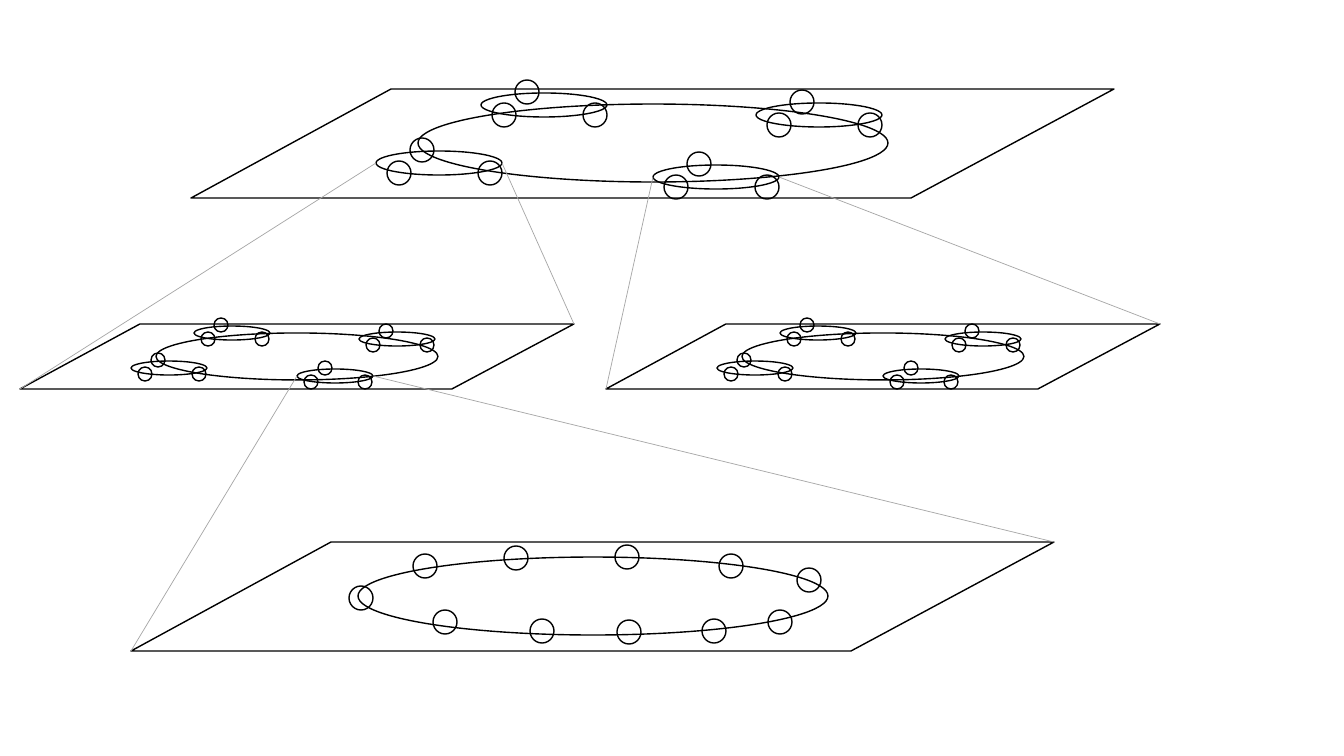
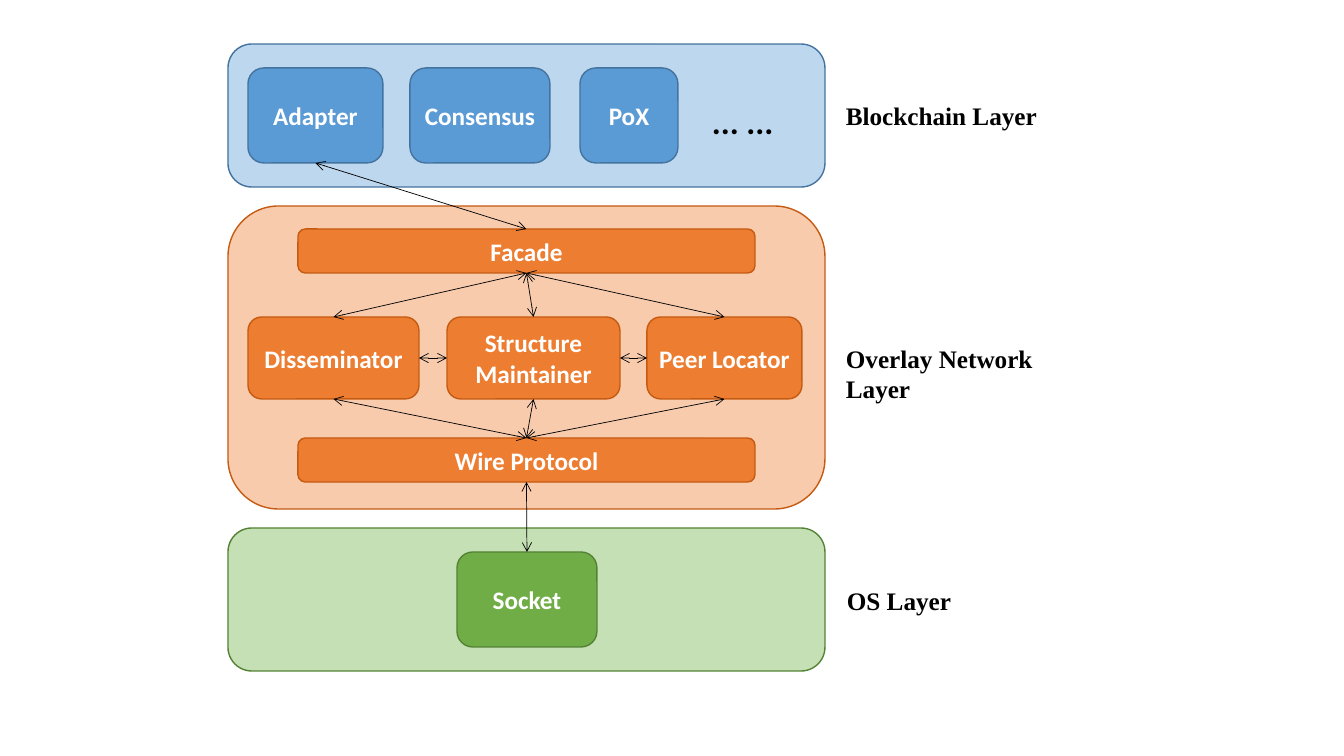
from dataclasses import dataclass

from lxml import etree
from pptx import Presentation
from pptx.dml.color import RGBColor
from pptx.enum.shapes import MSO_CONNECTOR, MSO_SHAPE
from pptx.enum.text import MSO_ANCHOR, PP_ALIGN
from pptx.oxml.ns import qn
from pptx.util import Emu, Pt

ELLIPSE = MSO_SHAPE.OVAL
ROUNDED = MSO_SHAPE.ROUNDED_RECTANGLE
STRAIGHT = MSO_CONNECTOR.STRAIGHT
CENTER, LEFT = PP_ALIGN.CENTER, PP_ALIGN.LEFT
MIDDLE, TOP = MSO_ANCHOR.MIDDLE, MSO_ANCHOR.TOP
SCALE = 914400 / 100.8
SITE_TOP, SITE_LEFT, SITE_BOTTOM, SITE_RIGHT = range(4)


@dataclass(frozen=True)
class Theme:
    """Colours, fonts and sizes shared by the slides."""
    ink: str = "000000"
    paper: str = "FFFFFF"
    guide: str = "A6A6A6"
    blue: tuple = ("BDD7EE", "5B9BD5", "43739E")
    orange: tuple = ("F8CBAD", "ED7D31", "C55A11")
    green: tuple = ("C5E0B4", "70AD47", "548235")
    box_font: str = "Calibri"
    label_font: str = "Times New Roman"
    text_size: int = 18
    dots_size: int = 24
    outline: float = 1
    hairline: float = 0.5


def px(length):
    """Turn pixels into EMU."""
    return Emu(round(length * SCALE))


class Deck:
    """Holds the theme and the current slide and draws each kind of element."""

    def __init__(self, theme):
        """Start an empty widescreen presentation."""
        self.theme = theme
        self.presentation = Presentation()
        self.presentation.slide_width = px(1344)
        self.presentation.slide_height = px(756)
        self.slide = None

    def new_slide(self):
        """Add a blank slide and make it current."""
        layout = self.presentation.slide_layouts[6]
        self.slide = self.presentation.slides.add_slide(layout)

    def style(self, shape, line, fill=None):
        """Set outline and fill and remove the shadow."""
        shape.shadow.inherit = False
        shape.line.color.rgb = RGBColor.from_string(line)
        shape.line.width = Pt(self.theme.outline)
        if fill:
            shape.fill.solid()
            shape.fill.fore_color.rgb = RGBColor.from_string(fill)
        else:
            shape.fill.background()

    def ellipse(self, left, top, width, height):
        """Draw an unfilled ellipse."""
        shape = self.slide.shapes.add_shape(
            ELLIPSE, px(left), px(top), px(width), px(height))
        self.style(shape, self.theme.ink)

    def outline(self, points):
        """Draw a closed unfilled outline through the points."""
        builder = self.slide.shapes.build_freeform(*points[0], scale=SCALE)
        builder.add_line_segments(points[1:], close=True)
        self.style(builder.convert_to_shape(), self.theme.ink)

    def box(self, left, top, width, height, fill, line, lines=()):
        """Draw a rounded box with centred text."""
        shape = self.slide.shapes.add_shape(
            ROUNDED, px(left), px(top), px(width), px(height))
        self.style(shape, line, fill)
        if lines:
            frame = shape.text_frame
            frame.margin_left = frame.margin_right = 0
            frame.margin_top = frame.margin_bottom = 0
            self.add_text(frame, lines, self.theme.box_font,
                          self.theme.text_size, self.theme.paper,
                          CENTER, MIDDLE)
        return shape

    def label(self, left, top, width, height, lines, font, size):
        """Add a bold left-aligned text box."""
        shape = self.slide.shapes.add_textbox(
            px(left), px(top), px(width), px(height))
        shape.text_frame.margin_right = 0
        self.add_text(shape.text_frame, lines, font, size,
                      self.theme.ink, LEFT, TOP)

    def add_text(self, frame, lines, font, size, color, alignment, anchor):
        """Fill a text frame with one paragraph per line."""
        frame.word_wrap = True
        frame.vertical_anchor = anchor
        for index, line in enumerate(lines):
            paragraph = frame.add_paragraph() if index else frame.paragraphs[0]
            paragraph.alignment = alignment
            run = paragraph.add_run()
            run.text = line
            run.font.name = font
            run.font.size = Pt(size)
            run.font.bold = True
            run.font.color.rgb = RGBColor.from_string(color)

    def line(self, start, end, color):
        """Draw a thin straight line."""
        connector = self.slide.shapes.add_connector(
            STRAIGHT, *map(px, (*start, *end)))
        connector.line.color.rgb = RGBColor.from_string(color)
        connector.line.width = Pt(self.theme.hairline)
        etree.SubElement(connector._element.spPr, qn("a:effectLst"))
        return connector

    def link(self, source, source_site, target, target_site):
        """Join two boxes with a double-headed arrow."""
        connector = self.line((0, 0), (0, 0), self.theme.ink)
        connector.begin_connect(source, source_site)
        connector.end_connect(target, target_site)
        outline = connector._element.spPr.find(qn("a:ln"))
        for end in ("a:headEnd", "a:tailEnd"):
            etree.SubElement(outline, qn(end), type="arrow")


@dataclass(frozen=True)
class Plane:
    """A slanted plane, placed by its lower left corner, with a ring on it."""
    left: int
    bottom: int
    ratio: float = 1

    def place(self, across, down):
        """Turn an offset on the plane into slide pixels."""
        return (round(self.left + across * self.ratio),
                round(self.bottom + down * self.ratio))

    def draw(self, deck):
        """Draw the plane and its ring."""
        deck.outline([self.place(*corner) for corner in PLANE_CORNERS])
        self.ellipse(deck, 227, -94, 470, 78)

    def ellipse(self, deck, across, down, width, height):
        """Draw an ellipse at an offset on the plane."""
        deck.ellipse(*self.place(across, down),
                     round(width * self.ratio), round(height * self.ratio))

    def draw_clusters(self, deck):
        """Draw each small ring with its three nodes."""
        for across, down in CLUSTERS:
            for node_across, node_down in CLUSTER_NODES:
                self.ellipse(deck, across + node_across, down + node_down,
                             NODE, NODE)
            self.ellipse(deck, across, down, CLUSTER_WIDTH, NODE)

    def project(self, deck, cluster, target):
        """Draw guides from a cluster to the plane that details it."""
        across, down = cluster
        middle = down + NODE / 2
        for offset, corner in ((0, PLANE_CORNERS[0]),
                               (CLUSTER_WIDTH, PLANE_CORNERS[2])):
            deck.line(self.place(across + offset, middle),
                      target.place(*corner), deck.theme.guide)


PLANE_CORNERS = [(0, 0), (720, 0), (923, -109), (200, -109)]
NODE, CLUSTER_WIDTH = 24, 126
CLUSTER_NODES = [(11, 10), (34, -13), (102, 10)]
FRONT_LEFT, FRONT_RIGHT = (185, -47), (462, -33)
CLUSTERS = [FRONT_LEFT, (565, -95), (290, -105), FRONT_RIGHT]
RING_NODES = [(373, -105), (282, -97), (484, -106), (588, -97), (666, -83),
              (637, -41), (571, -32), (486, -31), (399, -32), (302, -41),
              (218, -65)]


def build_hierarchy(deck):
    """Slide of rings nested over three levels."""
    deck.new_slide()
    upper, lower = Plane(191, 198), Plane(131, 651)
    middle_left, middle_right = Plane(20, 389, 0.6), Plane(606, 389, 0.6)
    for plane in (upper, middle_left, middle_right):
        plane.draw(deck)
        plane.draw_clusters(deck)
    lower.draw(deck)
    for across, down in RING_NODES:
        lower.ellipse(deck, across, down, NODE, NODE)
    upper.project(deck, FRONT_LEFT, middle_left)
    upper.project(deck, FRONT_RIGHT, middle_right)
    middle_left.project(deck, FRONT_RIGHT, lower)


def build_layers(deck):
    """Slide of the three software layers."""
    deck.new_slide()
    theme = deck.theme
    for top, height, (band, _, line) in ((44, 143, theme.blue),
                                         (206, 303, theme.orange),
                                         (528, 143, theme.green)):
        deck.box(228, top, 597, height, band, line)
    for left, top, height, lines in (
            (836, 95, 40, ["Blockchain Layer"]),
            (836, 338, 72, ["Overlay Network", "Layer"]),
            (837, 580, 40, ["OS Layer"])):
        deck.label(left, top, 212, height, lines,
                   theme.label_font, theme.text_size)
    deck.label(702, 96, 110, 50, ["... ..."], theme.box_font, theme.dots_size)

    boxes = {}
    for name, left, top, width, height, (_, fill, line) in (
            ("Adapter", 248, 68, 135, 95, theme.blue),
            ("Consensus", 410, 68, 140, 95, theme.blue),
            ("PoX", 580, 68, 98, 95, theme.blue),
            ("Facade", 298, 229, 457, 44, theme.orange),
            ("Disseminator", 248, 317, 171, 82, theme.orange),
            ("Structure\nMaintainer", 447, 317, 173, 82, theme.orange),
            ("Peer Locator", 647, 317, 155, 82, theme.orange),
            ("Wire Protocol", 298, 438, 457, 44, theme.orange),
            ("Socket", 457, 552, 140, 95, theme.green)):
        boxes[name] = deck.box(left, top, width, height, fill, line,
                               name.split("\n"))

    facade, wire = boxes["Facade"], boxes["Wire Protocol"]
    services = [boxes[name] for name in
                ("Disseminator", "Structure\nMaintainer", "Peer Locator")]
    deck.link(boxes["Adapter"], SITE_BOTTOM, facade, SITE_TOP)
    for service in services:
        deck.link(facade, SITE_BOTTOM, service, SITE_TOP)
        deck.link(service, SITE_BOTTOM, wire, SITE_TOP)
    for service, neighbour in zip(services, services[1:]):
        deck.link(service, SITE_RIGHT, neighbour, SITE_LEFT)
    deck.link(wire, SITE_BOTTOM, boxes["Socket"], SITE_TOP)


deck = Deck(Theme())
build_hierarchy(deck)
build_layers(deck)
deck.presentation.save("out.pptx")
